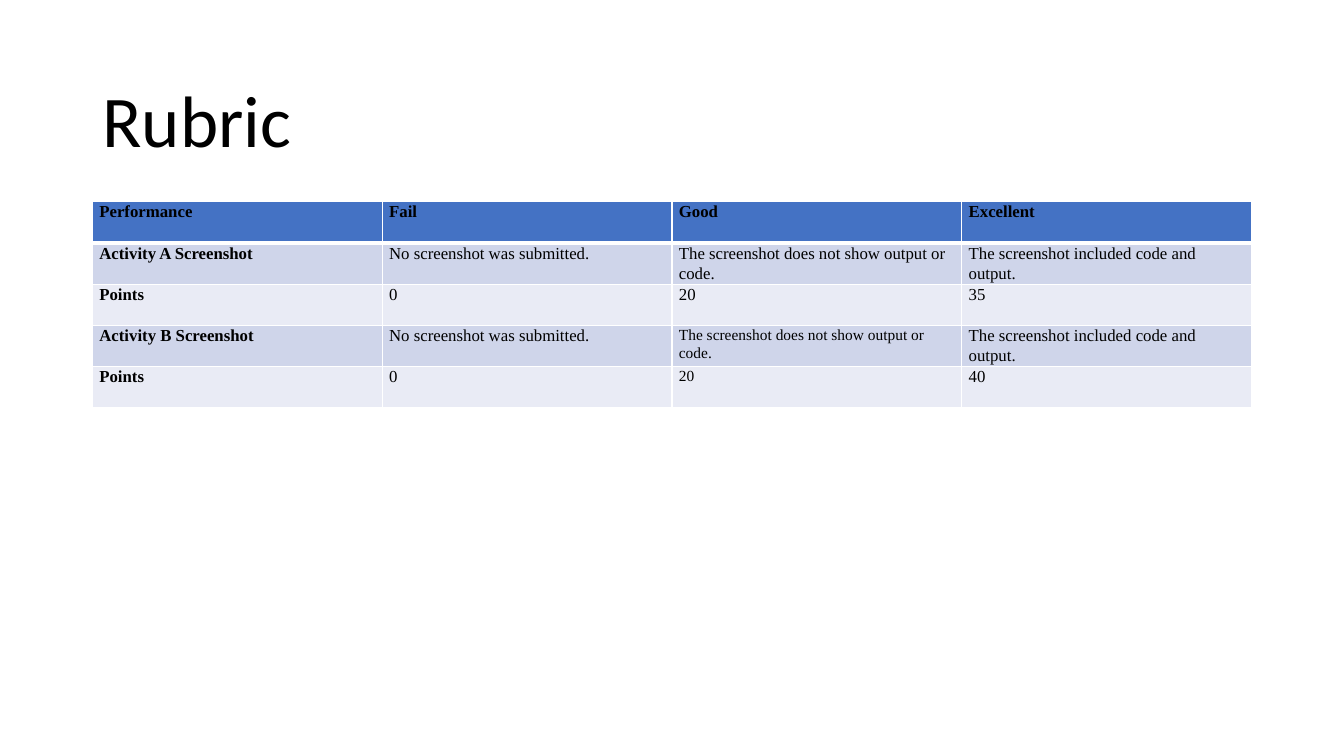
import pptx
import pptx.util
import pptx.dml.color
import pptx.enum.text
import lxml.etree

Pt = pptx.util.Pt

COLORS = {
    "text": "000000",
    "head": "4472C4",
    "dark": "CFD5EA",
    "light": "E9EBF5",
    "rule": "FFFFFF",
}
NONE = "No screenshot was submitted."
PART = "The screenshot does not show output or code."
FULL = "The screenshot included code and output."
ROWS = [
    ["Performance", "Fail", "Good", "Excellent"],
    ["Activity A Screenshot", NONE, PART, FULL],
    ["Points", "0", "20", "35"],
    ["Activity B Screenshot", NONE, PART, FULL],
    ["Points", "0", "20", "40"],
]
SMALL = {(3, 2), (4, 2)}


def color(name):
    return pptx.dml.color.RGBColor.from_string(COLORS[name])


def write(para, text, font, size, bold=False):
    run = para.add_run()
    run.text = text
    run.font.name = font
    run.font.size = Pt(size)
    run.font.bold = bold
    run.font.color.rgb = color("text")


def border(cell, side, width):
    props = cell._tc.get_or_add_tcPr()
    line = lxml.etree.SubElement(
        props, pptx.oxml.ns.qn(f"a:ln{side}"), w=str(Pt(width)))
    fill = lxml.etree.SubElement(line, pptx.oxml.ns.qn("a:solidFill"))
    lxml.etree.SubElement(
        fill, pptx.oxml.ns.qn("a:srgbClr"), val=COLORS["rule"])


def title(slide, left, top, width, height):
    shape = slide.shapes.title
    shape.left, shape.top = Pt(left), Pt(top)
    shape.width, shape.height = Pt(width), Pt(height)
    frame = shape.text_frame
    frame.word_wrap = True
    frame.vertical_anchor = pptx.enum.text.MSO_ANCHOR.MIDDLE
    para = frame.paragraphs[0]
    para.alignment = pptx.enum.text.PP_ALIGN.LEFT
    para.line_spacing = 0.9
    write(para, "Rubric", "Calibri", 52)


def rubric(slide, left, top, width, height):
    table = slide.shapes.add_table(
        len(ROWS), len(ROWS[0]),
        Pt(left), Pt(top), Pt(width), Pt(height)).table
    for r, row in enumerate(ROWS):
        band = "head" if r == 0 else "dark" if r % 2 else "light"
        for c, text in enumerate(row):
            cell = table.cell(r, c)
            cell.margin_left = cell.margin_right = Pt(5)
            cell.margin_top = cell.margin_bottom = 0
            for side in "LRTB":
                thick = (r, side) in [(0, "B"), (1, "T")]
                border(cell, side, 3 if thick else 1)
            cell.fill.solid()
            cell.fill.fore_color.rgb = color(band)
            para = cell.text_frame.paragraphs[0]
            para.line_spacing = 1.07
            write(para, text, "Times New Roman",
                  11 if (r, c) in SMALL else 12, r == 0 or c == 0)


def main():
    deck = pptx.Presentation()
    deck.slide_width, deck.slide_height = Pt(960), Pt(540)
    slide = deck.slides.add_slide(deck.slide_layouts[5])
    title(slide, 66, 44, 828, 89)
    rubric(slide, 66, 144, 828, 147.5)
    deck.save("out.pptx")


if __name__ == "__main__":
    main()
